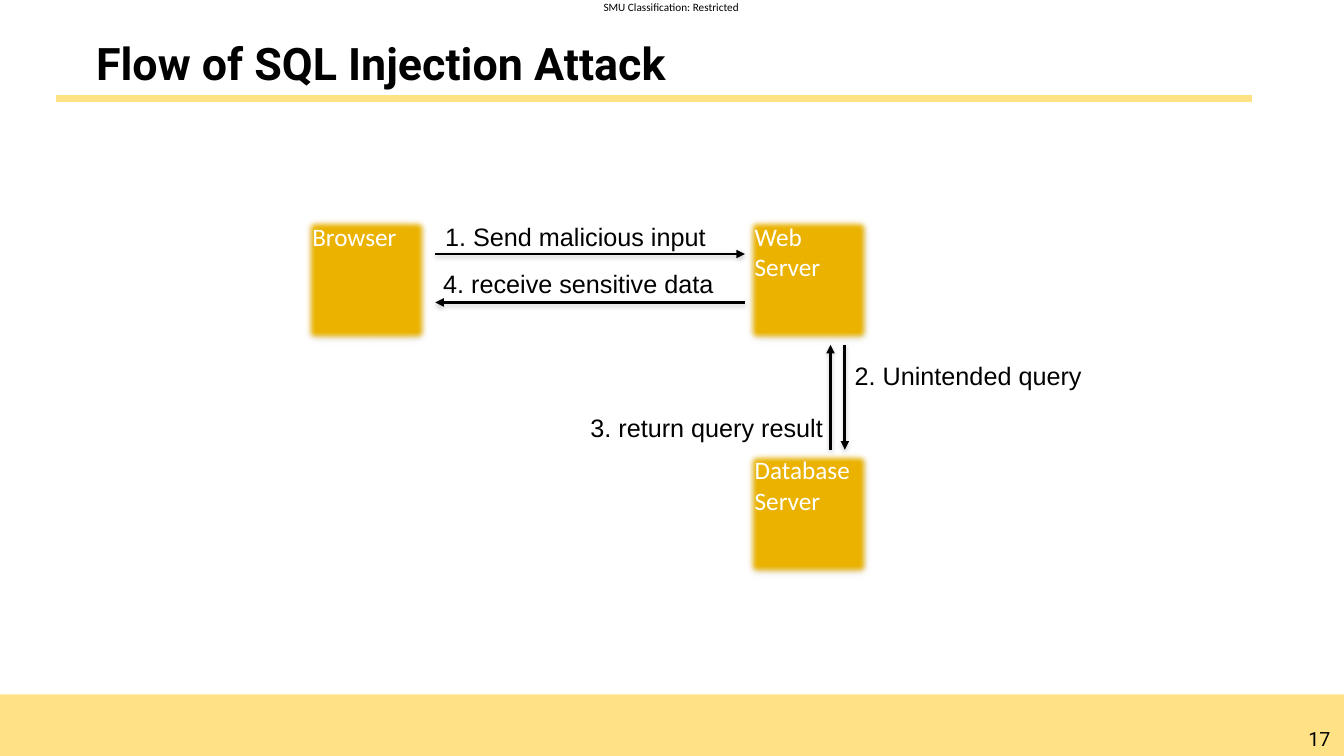
from lxml import etree
from pptx import Presentation
from pptx.dml.color import RGBColor
from pptx.enum.shapes import MSO_CONNECTOR, MSO_SHAPE
from pptx.enum.text import MSO_ANCHOR, MSO_AUTO_SIZE, PP_ALIGN
from pptx.oxml.ns import qn
from pptx.util import Cm, Pt

RECTANGLE = MSO_SHAPE.RECTANGLE
STRAIGHT = MSO_CONNECTOR.STRAIGHT
LEFT, CENTER = PP_ALIGN.LEFT, PP_ALIGN.CENTER
TOP, MIDDLE = MSO_ANCHOR.TOP, MSO_ANCHOR.MIDDLE
FIT_SHAPE, NO_FIT = MSO_AUTO_SIZE.SHAPE_TO_FIT_TEXT, MSO_AUTO_SIZE.NONE

COLORS = {"band": "FFE285", "node": "EBB300", "text": "000000",
          "node_text": "FFFFFF", "shadow": "808080"}

SLIDE_WIDTH, SLIDE_HEIGHT = 33.87, 19.05
BAND_TOP = 17.5
RULE_LEFT, RULE_WIDTH, RULE_Y = 1.42, 30.12, 2.49
TITLE_TOP = 0.86
NODE_WIDTH, NODE_HEIGHT = 3.23, 3.25
BROWSER_X, SERVER_X = 7.62, 18.77
UPPER_Y, LOWER_Y = 5.44, 11.33
UPPER_BOTTOM = UPPER_Y + NODE_HEIGHT
ARROW_LEFT = 10.97
LABEL_HEIGHT = 1.02

TITLE = "Flow of SQL Injection Attack"
NODES = [
    ("Browser", BROWSER_X, UPPER_Y),
    ("Web Server", SERVER_X, UPPER_Y),
    ("Database Server", SERVER_X, LOWER_Y),
]
STEPS = [
    ("1. Send malicious input", (ARROW_LEFT, 6.4, SERVER_X, 6.4), (ARROW_LEFT, 5.44, 7.39)),
    ("4. receive sensitive data", (SERVER_X, 7.62, ARROW_LEFT, 7.62), (10.92, 6.63, 7.39)),
    ("2. Unintended query", (21.29, UPPER_BOTTOM, 21.29, LOWER_Y), (21.29, 8.94, 6.48)),
    ("3. return query result", (20.93, LOWER_Y, 20.93, UPPER_BOTTOM), (14.63, 10.26, 6.48)),
]


def color(name):
    return RGBColor.from_string(COLORS[name])


def write(shape, text, font="Arial", size=18, fill="text", bold=False, align=LEFT,
          anchor=TOP, margins=(0.25, 0.13), fit=NO_FIT, spacing=None):
    frame = shape.text_frame
    frame.word_wrap = True
    frame.auto_size = fit
    frame.vertical_anchor = anchor
    frame.margin_left = frame.margin_right = Cm(margins[0])
    frame.margin_top = frame.margin_bottom = Cm(margins[1])
    paragraph = frame.paragraphs[0]
    paragraph.text = text
    paragraph.alignment = align
    paragraph.line_spacing = spacing
    paragraph.font.name = font
    paragraph.font.size = Pt(size)
    paragraph.font.bold = bold
    paragraph.font.color.rgb = color(fill)


def add_text(slide, text, left, top, width, height, **style):
    box = slide.shapes.add_textbox(Cm(left), Cm(top), Cm(width), Cm(height))
    write(box, text, fit=FIT_SHAPE, **style)


def add_rectangle(slide, left, top, width, height, fill):
    shape = slide.shapes.add_shape(RECTANGLE, Cm(left), Cm(top), Cm(width), Cm(height))
    shape.shadow.inherit = False
    shape.fill.solid()
    shape.fill.fore_color.rgb = color(fill)
    shape.line.fill.background()
    return shape


def add_line(slide, start_x, start_y, end_x, end_y, stroke, width):
    line = slide.shapes.add_connector(STRAIGHT, Cm(start_x), Cm(start_y), Cm(end_x), Cm(end_y))
    line.line.color.rgb = color(stroke)
    line.line.width = Pt(width)
    etree.SubElement(line._element.spPr, qn("a:effectLst"))
    return line


def add_shadow(shape, distance, opacity):
    effects = shape._element.spPr.find(qn("a:effectLst"))
    shadow = etree.SubElement(effects, qn("a:outerShdw"), blurRad=str(Pt(3.1)),
                              dist=str(Pt(distance)), dir="5400000", rotWithShape="0")
    shade = etree.SubElement(shadow, qn("a:srgbClr"), val=COLORS["shadow"])
    etree.SubElement(shade, qn("a:alpha"), val=str(opacity * 1000))
    return effects


def add_node(slide, text, left, top):
    node = add_rectangle(slide, left, top, NODE_WIDTH, NODE_HEIGHT, "node")
    effects = add_shadow(node, 1.8, 35)
    etree.SubElement(effects, qn("a:softEdge"), rad=str(Pt(5)))
    write(node, text, font="Calibri", fill="node_text")


def add_step(slide, text, ends, label):
    arrow = add_line(slide, *ends, "text", 2)
    etree.SubElement(arrow.line._get_or_add_ln(), qn("a:tailEnd"), type="triangle")
    add_shadow(arrow, 1.6, 38)
    add_text(slide, text, *label, LABEL_HEIGHT)


def main():
    presentation = Presentation()
    presentation.slide_width, presentation.slide_height = Cm(SLIDE_WIDTH), Cm(SLIDE_HEIGHT)
    slide = presentation.slides.add_slide(presentation.slide_layouts[5])

    add_rectangle(slide, 0, BAND_TOP, SLIDE_WIDTH, SLIDE_HEIGHT - BAND_TOP, "band")
    add_text(slide, "17", 32.64, 18.19, 1.22, 0.86, font="Roboto", size=14, align=CENTER)
    add_text(slide, "SMU Classification: Restricted", 15.21, 0, 3.6, 0.33,
             font="Calibri", size=8, margins=(0, 0))
    add_line(slide, RULE_LEFT, RULE_Y, RULE_LEFT + RULE_WIDTH, RULE_Y, "band", 4.75)

    title = slide.shapes.title
    title.left, title.top = Cm(RULE_LEFT), Cm(TITLE_TOP)
    title.width, title.height = Cm(RULE_WIDTH), Cm(RULE_Y - TITLE_TOP)
    write(title, TITLE, font="Roboto", size=32, bold=True, anchor=MIDDLE,
          margins=(1, 0.13), spacing=0.9)

    for node in NODES:
        add_node(slide, *node)
    for step in STEPS:
        add_step(slide, *step)
    presentation.save("out.pptx")


if __name__ == "__main__":
    main()
